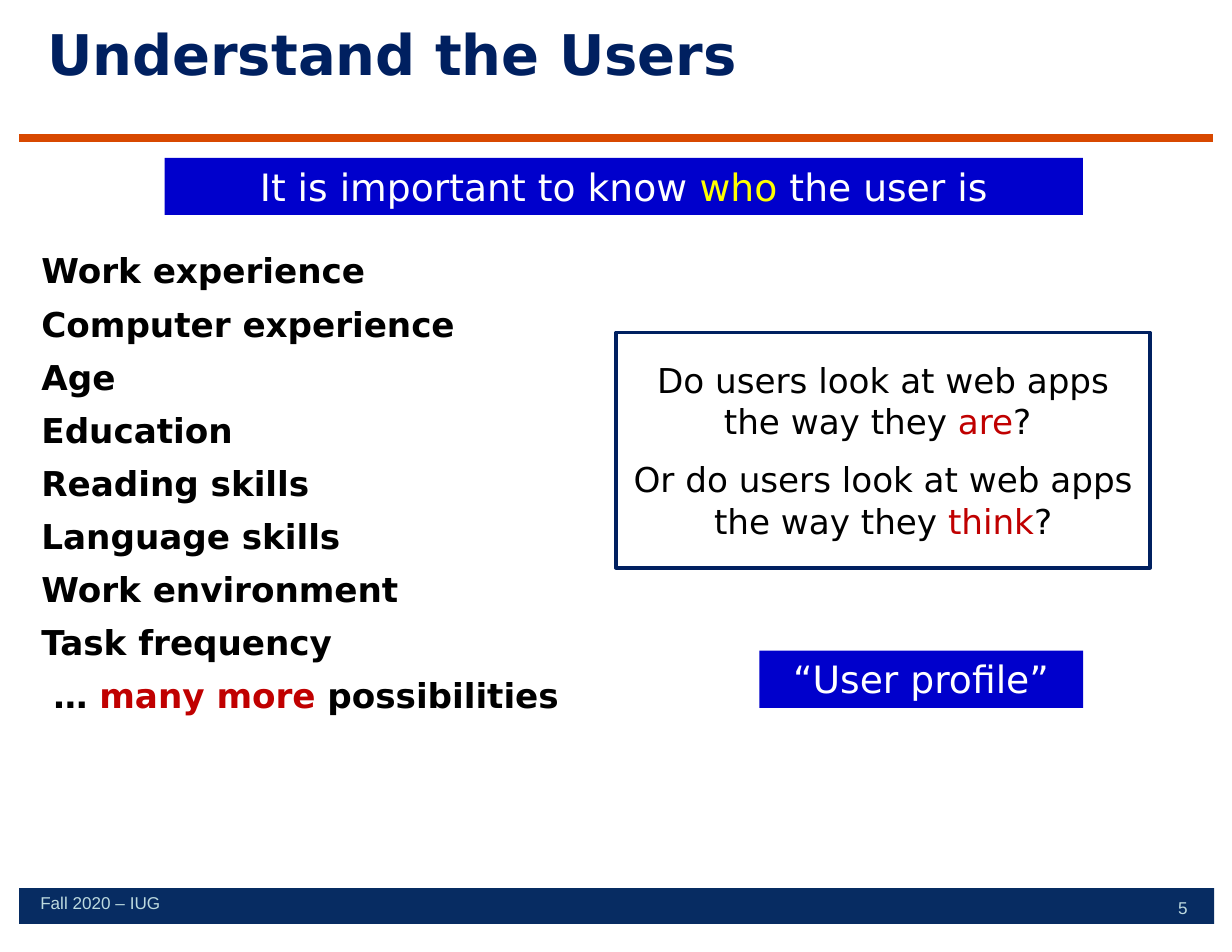
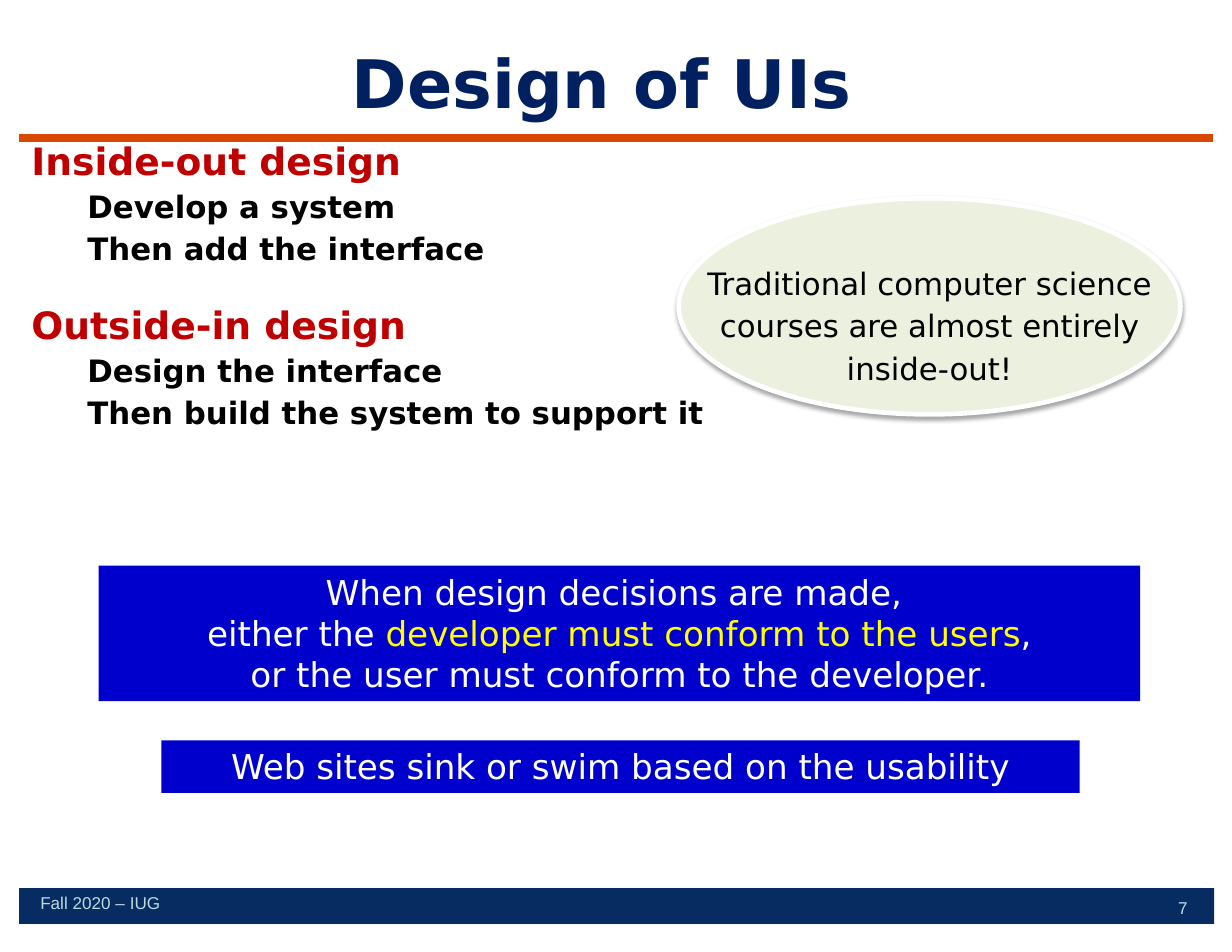
from dataclasses import dataclass

from lxml.etree import SubElement
from pptx import Presentation
from pptx.dml.color import RGBColor
from pptx.enum.shapes import MSO_CONNECTOR, MSO_SHAPE
from pptx.enum.text import MSO_ANCHOR, MSO_AUTO_SIZE, PP_ALIGN
from pptx.oxml.ns import qn
from pptx.util import Inches, Pt


@dataclass(frozen=True)
class Theme:
    # Colours
    navy: str = "002060"
    band: str = "072C62"
    rule: str = "D84800"
    blue: str = "0000CC"
    red: str = "C00000"
    yellow: str = "FFFF00"
    white: str = "FFFFFF"
    black: str = "000000"
    pale_green: str = "EBF1DE"
    footer_text: str = "BDDADF"
    # Fonts and type sizes
    font: str = "DejaVu Sans"
    footer_font: str = "Arial"
    heading: float = 24.2
    text: float = 22
    detail: float = 19.8
    footer: float = 11


THEME = Theme()


def box(left, top, width, height):
    return [Inches(value) for value in (left, top, width, height)]


def color(value):
    return RGBColor.from_string(value)


def apply_format(target, values):
    for name, value in values.items():
        setattr(target, name, value)


class Deck:
    """Holds the theme and the current slide."""

    def __init__(self, theme):
        self.theme = theme
        self.presentation = Presentation()
        self.presentation.slide_width = Inches(11)
        self.presentation.slide_height = Inches(8.5)
        self.layout = self.presentation.slide_layouts[1]
        self.slide = None

    def new_slide(self, number):
        first = self.slide is None
        self.slide = self.presentation.slides.add_slide(self.layout)
        if first:
            self.add_layout_parts()
        self.footer("Fall 2020 – IUG", 0.36, 7.97, 2.33)
        self.footer(str(number), 10.52, 8.01, 0.14)

    def add_layout_parts(self):
        # Footer band and title rule, moved to the shared layout
        band = self.shape(MSO_SHAPE.RECTANGLE, (0.17, 7.93, 10.67, 0.32), fill=self.theme.band)
        rule = self.slide.shapes.add_connector(
            MSO_CONNECTOR.STRAIGHT, Inches(0.17), Inches(1.23), Inches(10.83), Inches(1.23))
        rule.line.color.rgb = color(self.theme.rule)
        rule.line.width = Pt(5)
        SubElement(rule.element.spPr, qn("a:effectLst"))
        for part in (band, rule):
            self.layout.shapes.element.append(part.element)

    def paragraph(self, frame, index, runs, size, paragraph_format=None, bold=False, font=None):
        """Write runs, each a text or a (text, colour) pair, as one paragraph."""
        paragraph = frame.add_paragraph() if index else frame.paragraphs[0]
        apply_format(paragraph, {"space_before": Pt(0), **(paragraph_format or {})})
        for item in runs:
            text, ink = item if isinstance(item, tuple) else (item, self.theme.black)
            run = paragraph.add_run()
            run.text = text
            apply_format(run.font, {"name": font or self.theme.font, "size": Pt(size), "bold": bold})
            run.font.color.rgb = color(ink)
        return paragraph

    def frame(self, shape, margins=(0, 0), anchor=MSO_ANCHOR.TOP):
        side, edge = (Inches(margin) for margin in margins)
        apply_format(shape.text_frame, {
            "word_wrap": True, "auto_size": MSO_AUTO_SIZE.NONE, "vertical_anchor": anchor,
            "margin_left": side, "margin_right": side, "margin_top": edge, "margin_bottom": edge})
        return shape.text_frame

    def place(self, shape, position):
        apply_format(shape, dict(zip(("left", "top", "width", "height"), box(*position))))

    def title(self, text, position, size):
        shape = self.slide.shapes.title
        self.place(shape, position)
        self.paragraph(self.frame(shape), 0, [(text, self.theme.navy)], size,
                       {"alignment": PP_ALIGN.LEFT}, bold=True)

    def body(self, position, items):
        """Fill the body with (level, space before, size, runs) items."""
        shape = self.slide.placeholders[1]
        self.place(shape, position)
        frame = self.frame(shape)
        for index, (level, space, size, runs) in enumerate(items):
            paragraph = self.paragraph(frame, index, runs, size,
                                       {"level": level, "space_before": Pt(space)}, bold=True)
            left, indent = ((0.35, -0.35), (0.83, -0.33))[level]
            properties = paragraph._p.get_or_add_pPr()
            properties.set("marL", str(Inches(left)))
            properties.set("indent", str(Inches(indent)))
            SubElement(properties, qn("a:buNone"))

    def shape(self, kind, position, fill=None, line=None, line_width=0, parent=None):
        shape = (parent or self.slide).shapes.add_shape(kind, *box(*position))
        shape.shadow.inherit = False
        if fill:
            shape.fill.solid()
            shape.fill.fore_color.rgb = color(fill)
        else:
            shape.fill.background()
        if line:
            shape.line.color.rgb = color(line)
            shape.line.width = Pt(line_width)
        else:
            shape.line.fill.background()
        return shape

    def banner(self, position, lines, size):
        shape = self.shape(MSO_SHAPE.RECTANGLE, position, fill=self.theme.blue)
        frame = self.frame(shape, (0.1, 0.05))
        for index, runs in enumerate(lines):
            white_runs = [run if isinstance(run, tuple) else (run, self.theme.white) for run in runs]
            self.paragraph(frame, index, white_runs, size, {"alignment": PP_ALIGN.CENTER})

    def outlined_box(self, position, paragraphs):
        shape = self.shape(MSO_SHAPE.RECTANGLE, position, line=self.theme.navy, line_width=2.25)
        frame = self.frame(shape, (0.11, 0.06), MSO_ANCHOR.MIDDLE)
        for index, (space, runs) in enumerate(paragraphs):
            self.paragraph(frame, index, runs, self.theme.text,
                           {"alignment": PP_ALIGN.CENTER, "space_before": Pt(space)})

    def oval_note(self, position, text_position, text):
        group = self.slide.shapes.add_group_shape()
        oval = self.shape(MSO_SHAPE.OVAL, position, self.theme.pale_green, self.theme.white, 3, group)
        # Soft shadow below the oval
        effects = oval.element.spPr.find(qn("a:effectLst"))
        shadow = SubElement(effects, qn("a:outerShdw"), blurRad=str(Pt(3.1)),
                            dist=str(Pt(1.8)), dir="5400000", rotWithShape="0")
        ink = SubElement(shadow, qn("a:srgbClr"), val=self.theme.black)
        SubElement(ink, qn("a:alpha"), val="35000")
        label = group.shapes.add_textbox(*box(*text_position))
        self.paragraph(self.frame(label, (0.1, 0.05), MSO_ANCHOR.MIDDLE), 0, [text], self.theme.detail,
                       {"alignment": PP_ALIGN.CENTER, "line_spacing": Pt(27.5)})

    def footer(self, text, left, top, width):
        label = self.slide.shapes.add_textbox(*box(left, top, width, 0.2))
        self.paragraph(self.frame(label), 0, [(text, self.theme.footer_text)], self.theme.footer,
                       {"line_spacing": Pt(13.2)}, font=self.theme.footer_font)


def build_users_slide(deck):
    theme = deck.theme
    deck.new_slide(5)
    deck.title("Understand the Users", (0.42, 0.17, 7.47, 0.61), 36)
    topics = ["Work experience", "Computer experience", "Age", "Education", "Reading skills",
              "Language skills", "Work environment", "Task frequency"]
    rows = [[topic] for topic in topics]
    rows.append([" … ", ("many more ", theme.red), "possibilities"])
    deck.body((0.37, 2.23, 10.27, 5.77), [(0, 7.7, theme.text, runs) for runs in rows])
    deck.banner((1.47, 1.41, 8.2, 0.51),
                [["It is important to know ", ("who", theme.yellow), " the user is"]], theme.heading)
    deck.outlined_box((5.5, 2.97, 4.77, 2.1), [
        (7.7, ["Do users look at web apps the way they ", ("are", theme.red), "? "]),
        (11, ["Or do users look at web apps the way they ", ("think", theme.red), "?"])])
    deck.banner((6.78, 5.81, 2.89, 0.51), [["“User profile”"]], theme.heading)


def build_design_slide(deck):
    theme = deck.theme
    deck.new_slide(7)
    deck.title("Design of UIs", (3.14, 0.37, 4.75, 0.74), 43)
    approaches = [
        (0, "Inside-out design", ["Develop a system", "Then add the interface"]),
        (22, "Outside-in design", ["Design the interface", "Then build the system to support it"])]
    items = []
    for space, approach, steps in approaches:
        items.append((0, space, theme.heading, [(approach, theme.red)]))
        items += [(1, 3.3, theme.detail, [step]) for step in steps]
    deck.body((0.28, 1.23, 10.45, 6.6), items)
    deck.banner((0.88, 5.05, 9.3, 1.21), [
        ["When design decisions are made, "],
        ["either the ", ("developer must conform to the users", theme.yellow), ","],
        ["or the user must conform to the developer."]], theme.text)
    deck.banner((1.44, 6.61, 8.2, 0.47),
                [["Web sites sink or swim based on the usability"]], theme.text)
    deck.oval_note((6.06, 1.77, 4.48, 1.93), (6.15, 2.24, 4.3, 1.28),
                   "Traditional computer science courses are almost entirely inside-out!")


def main():
    deck = Deck(THEME)
    build_users_slide(deck)
    build_design_slide(deck)
    deck.presentation.save("out.pptx")


if __name__ == "__main__":
    main()
